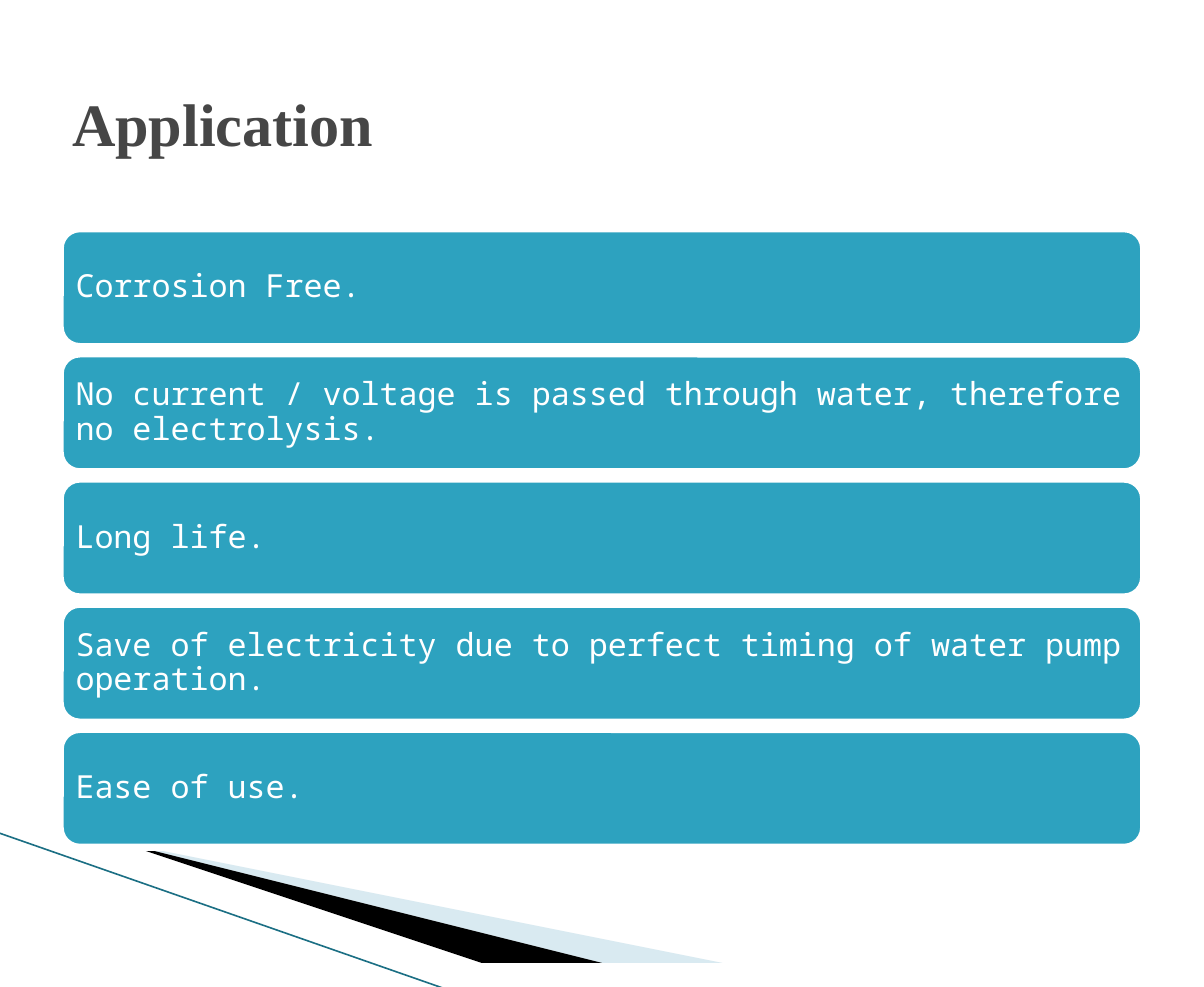
from lxml import etree
from pptx import Presentation
from pptx.dml.color import RGBColor
from pptx.enum.shapes import MSO_CONNECTOR, MSO_SHAPE
from pptx.enum.text import MSO_ANCHOR, PP_ALIGN
from pptx.oxml.ns import qn
from pptx.util import Inches, Pt

ROUNDED = MSO_SHAPE.ROUNDED_RECTANGLE
STRAIGHT = MSO_CONNECTOR.STRAIGHT
MIDDLE = MSO_ANCHOR.MIDDLE
LEFT = PP_ALIGN.LEFT

# Content
TITLE = "Application"
BENEFITS = [
    "Corrosion Free.",
    "No current / voltage is passed through water, therefore no electrolysis.",
    "Long life.",
    "Save of electricity due to perfect timing of water pump operation.",
    "Ease of use.",
]


class Theme:
    title_font, title_size, title_color = "Times New Roman", 36, "464646"
    bar_font, bar_size, bar_text = "Noto Sans Mono", 19, "FFFFFF"
    bar_fill, bar_edge, bar_edge_width = "2DA2BF", "FFFFFF", 4.33
    edge_line, edge_width = "1B6F84", 0.95


# Layout, in inches
WIDTH, HEIGHT = 10, 8.2
MARGIN = WIDTH * 0.05
CONTENT_WIDTH = WIDTH - 2 * MARGIN
TITLE_TOP, TITLE_HEIGHT = 0.33, 1.37
BAR_TOP, BAR_HEIGHT, BAR_PITCH = 1.9, 0.98, 1.04

# Corner wedges: points, fill colour, opacity in percent
WEDGES = [
    ([(0.55, 7.11), (5.95, 8.21), (4.56, 8.21)], "A0CBDC", 40),
    ([(0.53, 7.1), (4.57, 8.21), (3.72, 8.22), (0.54, 7.11)], "000000", 100),
]
EDGE = (-0.01, 6.92, 3.71, 8.22)


def write_text(shape, text, *, font, size, color, bold=False, spacing=1.0,
               insets=(0.1, 0.05)):
    frame = shape.text_frame
    frame.word_wrap = True
    frame.vertical_anchor = MIDDLE
    frame.margin_left = frame.margin_right = Inches(insets[0])
    frame.margin_top = frame.margin_bottom = Inches(insets[1])
    para = frame.paragraphs[0]
    para.alignment = LEFT
    para.line_spacing = spacing
    span = para.add_run()
    span.text = text
    span.font.name = font
    span.font.size = Pt(size)
    span.font.bold = bold
    span.font.color.rgb = RGBColor.from_string(color)


def paint(shape, color, opacity=100):
    shape.shadow.inherit = False
    shape.fill.solid()
    shape.fill.fore_color.rgb = RGBColor.from_string(color)
    if opacity < 100:
        tint = shape.fill._xPr.find(".//" + qn("a:srgbClr"))
        etree.SubElement(tint, qn("a:alpha"), val=str(opacity * 1000))


def stroke(shape, color, width):
    shape.line.color.rgb = RGBColor.from_string(color)
    shape.line.width = Pt(width)


def add_corner(page):
    for points, color, opacity in WEDGES:
        outline = page.shapes.build_freeform(*points[0], scale=Inches(1))
        outline.add_line_segments(points[1:], close=True)
        wedge = outline.convert_to_shape()
        paint(wedge, color, opacity)
        wedge.line.fill.background()
    edge = page.shapes.add_connector(STRAIGHT, *map(Inches, EDGE))
    stroke(edge, Theme.edge_line, Theme.edge_width)
    etree.SubElement(edge._element.spPr, qn("a:effectLst"))


def add_bars(page):
    for row, benefit in enumerate(BENEFITS):
        place = (MARGIN, BAR_TOP + row * BAR_PITCH, CONTENT_WIDTH, BAR_HEIGHT)
        bar = page.shapes.add_shape(ROUNDED, *map(Inches, place))
        paint(bar, Theme.bar_fill)
        stroke(bar, Theme.bar_edge, Theme.bar_edge_width)
        write_text(bar, benefit, font=Theme.bar_font, size=Theme.bar_size,
                   color=Theme.bar_text, spacing=0.9, insets=(0.08, 0.08))


def add_title(page):
    place = (MARGIN, TITLE_TOP, CONTENT_WIDTH, TITLE_HEIGHT)
    box = page.shapes.add_textbox(*map(Inches, place))
    write_text(box, TITLE, font=Theme.title_font, size=Theme.title_size,
               color=Theme.title_color, bold=True)


def main():
    deck = Presentation()
    deck.slide_width, deck.slide_height = Inches(WIDTH), Inches(HEIGHT)
    page = deck.slides.add_slide(deck.slide_layouts[6])
    add_corner(page)
    add_bars(page)
    add_title(page)
    deck.save("out.pptx")


if __name__ == "__main__":
    main()
